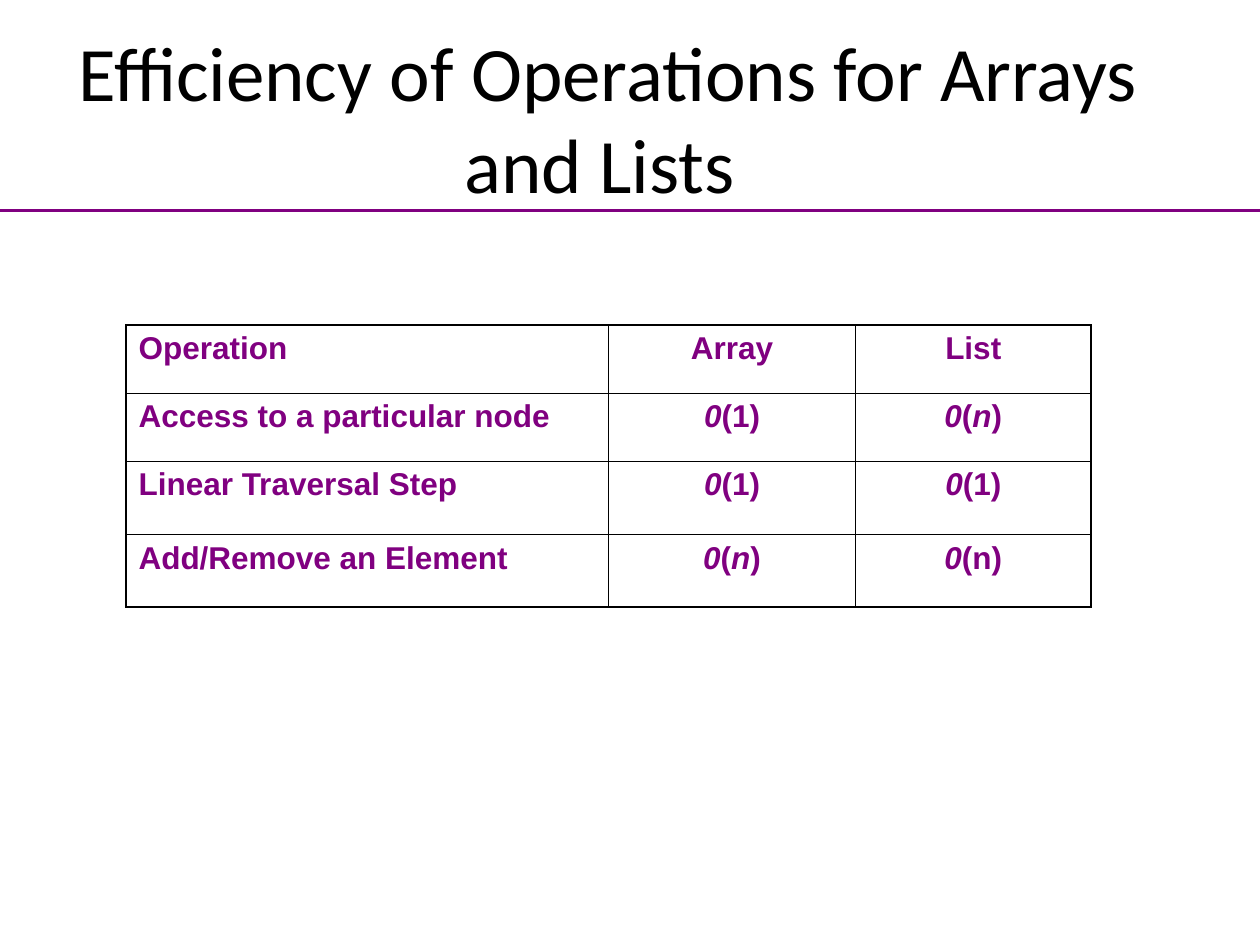
from dataclasses import dataclass

from lxml.etree import SubElement
from pptx import Presentation
from pptx.dml.color import RGBColor
from pptx.enum.shapes import MSO_CONNECTOR
from pptx.enum.text import MSO_ANCHOR, PP_ALIGN
from pptx.oxml.ns import qn
from pptx.util import Inches, Pt

BLACK = RGBColor(0x00, 0x00, 0x00)
PURPLE = RGBColor(0x80, 0x00, 0x80)

TITLE_FONT = {"name": "Calibri", "size": Pt(44)}
CELL_FONT = {"name": "Arial", "size": Pt(18), "bold": True}
OUTER, INNER = Pt(1.08), Pt(0.45)

COLUMNS = (3.83, 1.96, 1.87)
ROWS = (0.54, 0.54, 0.58, 0.58)


@dataclass
class Operation:
    name: str
    array: str
    linked: str


# Asterisks enclose italic text
OPERATIONS = [
    Operation("Operation", "Array", "List"),
    Operation("Access to a particular node", "*0*(1)", "*0*(*n*)"),
    Operation("Linear Traversal Step", "*0*(1)", "*0*(1)"),
    Operation("Add/Remove an Element", "*0*(*n*)", "*0*(n)"),
]


def add_run(p, text: str, color: RGBColor, font: dict) -> None:
    r = p.add_run()
    r.text = text
    r.font.color.rgb = color
    for key, value in font.items():
        setattr(r.font, key, value)


def set_border(cell, side: str, width: int) -> None:
    ln = SubElement(cell._tc.get_or_add_tcPr(), qn(f"a:ln{side}"), w=str(int(width)))
    fill = SubElement(ln, qn("a:solidFill"))
    SubElement(fill, qn("a:srgbClr"), val=str(BLACK))


def fill_cell(cell, text: str, row: int, col: int) -> None:
    p = cell.text_frame.paragraphs[0]
    p.alignment = PP_ALIGN.CENTER if col else PP_ALIGN.LEFT
    for i, part in enumerate(text.split("*")):
        if part:
            add_run(p, part, PURPLE, CELL_FONT | {"italic": i % 2 == 1})
    edges = {
        "L": col == 0,
        "R": col == len(COLUMNS) - 1,
        "T": row == 0,
        "B": row == len(ROWS) - 1,
    }
    for side, is_outer in edges.items():
        set_border(cell, side, OUTER if is_outer else INNER)
    cell.fill.background()


def add_title(s, text: str) -> None:
    box = s.shapes.add_textbox(Inches(0.08), Inches(0.3), Inches(9.5), Inches(1.25))
    tf = box.text_frame
    tf.word_wrap = True
    tf.vertical_anchor = MSO_ANCHOR.MIDDLE
    p = tf.paragraphs[0]
    p.alignment = PP_ALIGN.CENTER
    add_run(p, text, BLACK, TITLE_FONT)


def add_operations(s) -> None:
    table = s.shapes.add_table(
        len(ROWS), len(COLUMNS), Inches(1), Inches(2.58),
        Inches(sum(COLUMNS)), Inches(sum(ROWS)),
    ).table
    table.first_row = table.horz_banding = False
    for column, width in zip(table.columns, COLUMNS):
        column.width = Inches(width)
    for row, height in zip(table.rows, ROWS):
        row.height = Inches(height)
    for i, op in enumerate(OPERATIONS):
        for j, text in enumerate((op.name, op.array, op.linked)):
            fill_cell(table.cell(i, j), text, i, j)


def add_rule(s, y: int, width: int) -> None:
    line = s.shapes.add_connector(MSO_CONNECTOR.STRAIGHT, 0, y, width, y)
    line.line.color.rgb = PURPLE
    line.line.width = Pt(1.5)
    SubElement(line._element.spPr, qn("a:effectLst"))


def main() -> None:
    prs = Presentation()
    prs.slide_width, prs.slide_height = Inches(10), Inches(7.5)
    s = prs.slides.add_slide(prs.slide_layouts[6])
    add_title(s, "Efficiency of Operations for Arrays and Lists ")
    add_operations(s)
    add_rule(s, Inches(1.67), prs.slide_width)
    prs.save("out.pptx")


if __name__ == "__main__":
    main()
